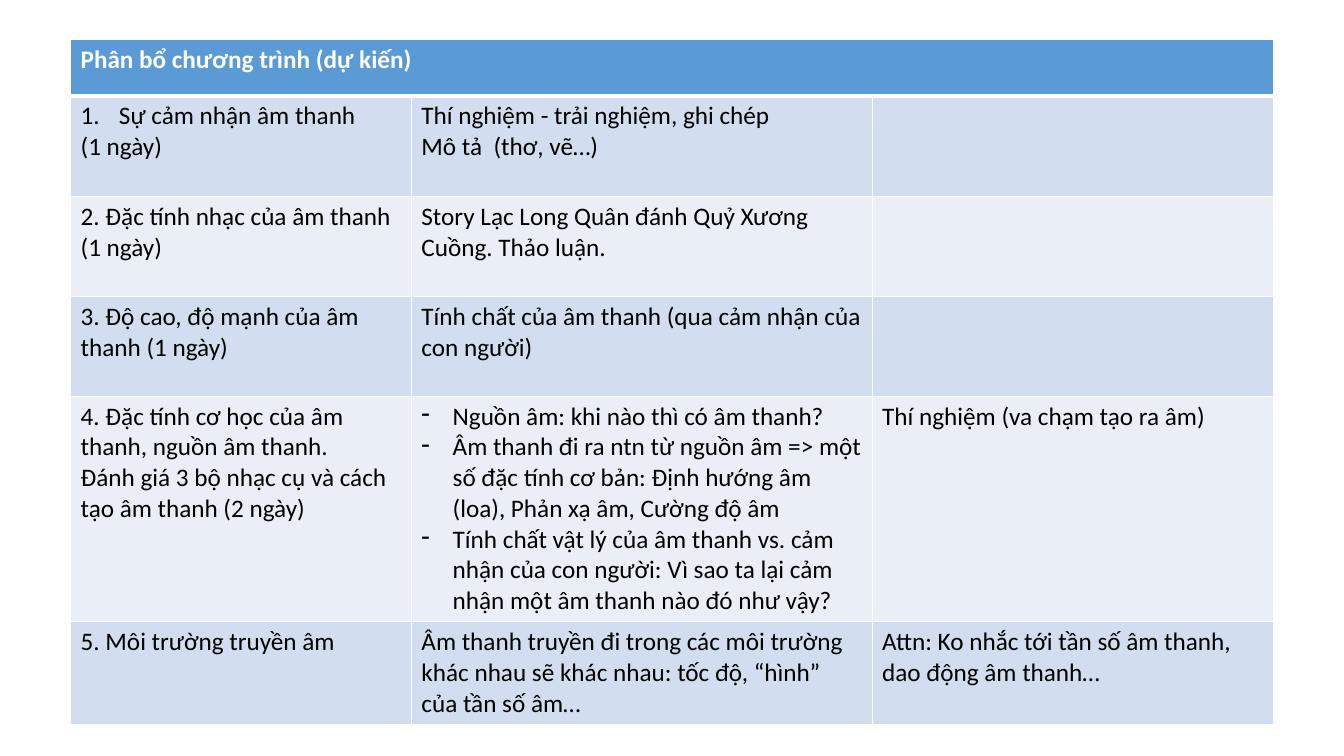
from pptx import Presentation
from pptx.dml.color import RGBColor as RGB
from pptx.oxml.ns import qn
from pptx.util import Inches, Pt
from lxml.etree import SubElement as Sub, Element

HUES = {"head": "5B9BD5", "odd": "D2DEEF", "even": "EAEFF7",
        "white": "FFFFFF", "black": "000000"}
WIDTHS = [3.38, 4.57, 3.98]
HEIGHTS = [0.56, 1.0, 0.99, 0.99, 2.24, 1.0]

# Each cell is a list of paragraphs: (marker, text)
ROWS = [
    [[("", "Phân bổ chương trình (dự kiến)")], [], []],
    [[("1.", "Sự cảm nhận âm thanh "), ("", "(1 ngày)")],
     [("", "Thí nghiệm - trải nghiệm, ghi chép"),
      ("", "Mô tả  (thơ, vẽ…) ")], []],
    [[("", "2. Đặc tính nhạc của âm thanh (1 ngày)")],
     [("", "Story Lạc Long Quân đánh Quỷ Xương Cuồng. Thảo luận.  ")], []],
    [[("", "3. Độ cao, độ mạnh của âm thanh (1 ngày)")],
     [("", "Tính chất của âm thanh (qua cảm nhận của con người)")], []],
    [[("", "4. Đặc tính cơ học của âm thanh, nguồn âm thanh."),
      ("", "Đánh giá 3 bộ nhạc cụ và cách tạo âm thanh (2 ngày)")],
     [("-", "Nguồn âm: khi nào thì có âm thanh?"),
      ("-", "Âm thanh đi ra ntn từ nguồn âm => một số đặc tính cơ bản: "
            "Định hướng âm (loa), Phản xạ âm, Cường độ âm "),
      ("-", "Tính chất vật lý của âm thanh vs. cảm nhận của con người: "
            "Vì sao ta lại cảm nhận một âm thanh nào đó như vậy?")],
     [("", "Thí nghiệm (va chạm tạo ra âm)")]],
    [[("", "5. Môi trường truyền âm")],
     [("", "Âm thanh truyền đi trong các môi trường khác nhau sẽ khác nhau: "
           "tốc độ, “hình” của tần số âm…")],
     [("", "Attn: Ko nhắc tới tần số âm thanh, dao động âm thanh… ")]],
]


def edge(cell, row):
    """Draw white cell borders, thicker below the header row."""
    props = cell._tc.get_or_add_tcPr()
    for spot, side in enumerate("LRTB"):
        thick = (row, side) in [(0, "B"), (1, "T")]
        line = Element(qn("a:ln" + side), w=str(Pt(3 if thick else 1)))
        fill = Sub(line, qn("a:solidFill"))
        Sub(fill, qn("a:srgbClr"), val=HUES["white"])
        props.insert(spot, line)


def mark(para, sign):
    """Give a paragraph a number or dash with a hanging indent."""
    props = para._p.get_or_add_pPr()
    hang = Inches(0.38 if sign == "1." else 0.31)
    props.set("marL", str(hang))
    props.set("indent", str(-hang))
    if sign == "1.":
        Sub(props, qn("a:buAutoNum"), type="arabicPeriod")
    else:
        Sub(props, qn("a:buFontTx"))
        Sub(props, qn("a:buChar"), char=sign)


deck = Presentation()
deck.slide_width, deck.slide_height = Inches(13.33), Inches(7.5)
slide = deck.slides.add_slide(deck.slide_layouts[6])
plan = slide.shapes.add_table(
    len(ROWS), len(WIDTHS), Inches(0.7), Inches(0.39),
    Inches(sum(WIDTHS)), Inches(sum(HEIGHTS))).table
for col, width in zip(plan.columns, WIDTHS):
    col.width = Inches(width)
for row, height in zip(plan.rows, HEIGHTS):
    row.height = Inches(height)

for r, row in enumerate(ROWS):
    band = "head" if r == 0 else "odd" if r % 2 else "even"
    for c, lines in enumerate(row):
        cell = plan.cell(r, c)
        cell.fill.solid()
        cell.fill.fore_color.rgb = RGB.from_string(HUES[band])
        edge(cell, r)
        frame = cell.text_frame
        for i, (sign, text) in enumerate(lines):
            para = frame.add_paragraph() if i else frame.paragraphs[0]
            if sign:
                mark(para, sign)
            run = para.add_run()
            run.text = text
            font = run.font
            font.name, font.size, font.bold = "Calibri", Pt(18), r == 0
            ink = "black" if r else "white"
            font.color.rgb = RGB.from_string(HUES[ink])
plan.cell(0, 0).merge(plan.cell(0, 2))

deck.save("out.pptx")
